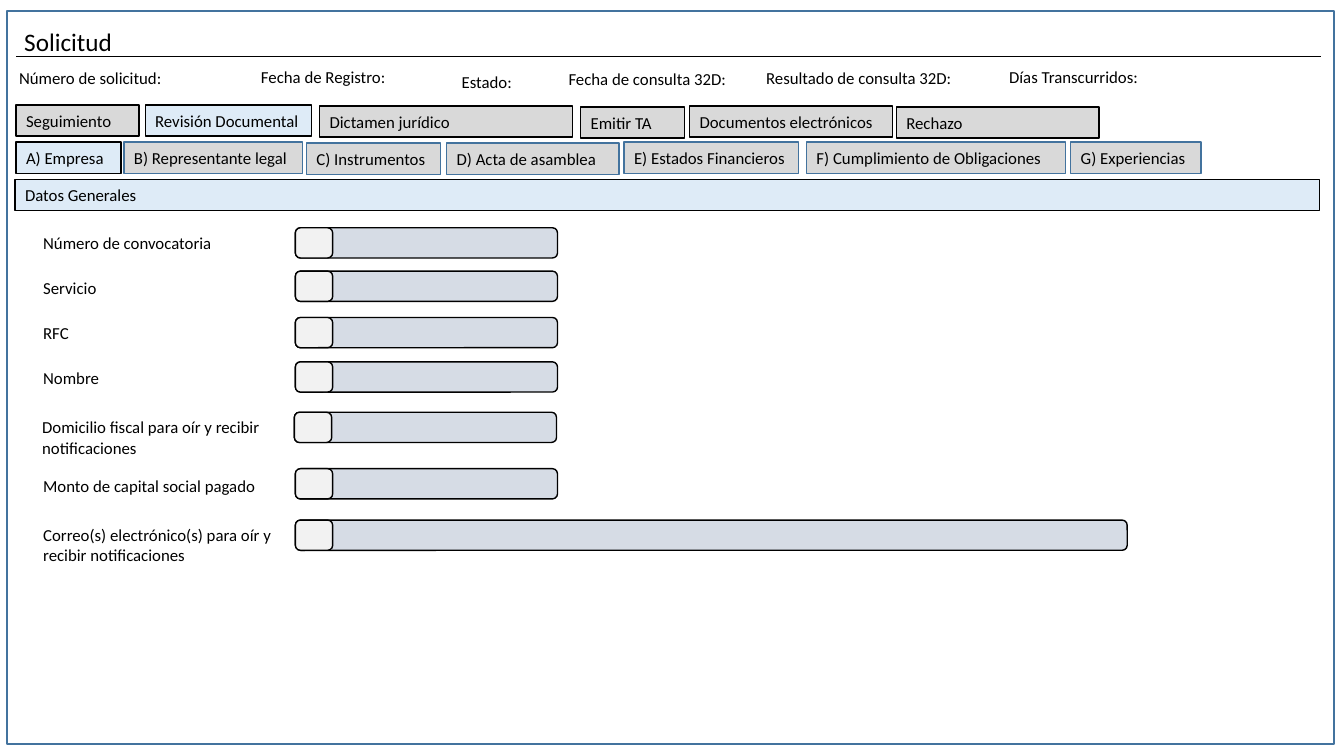
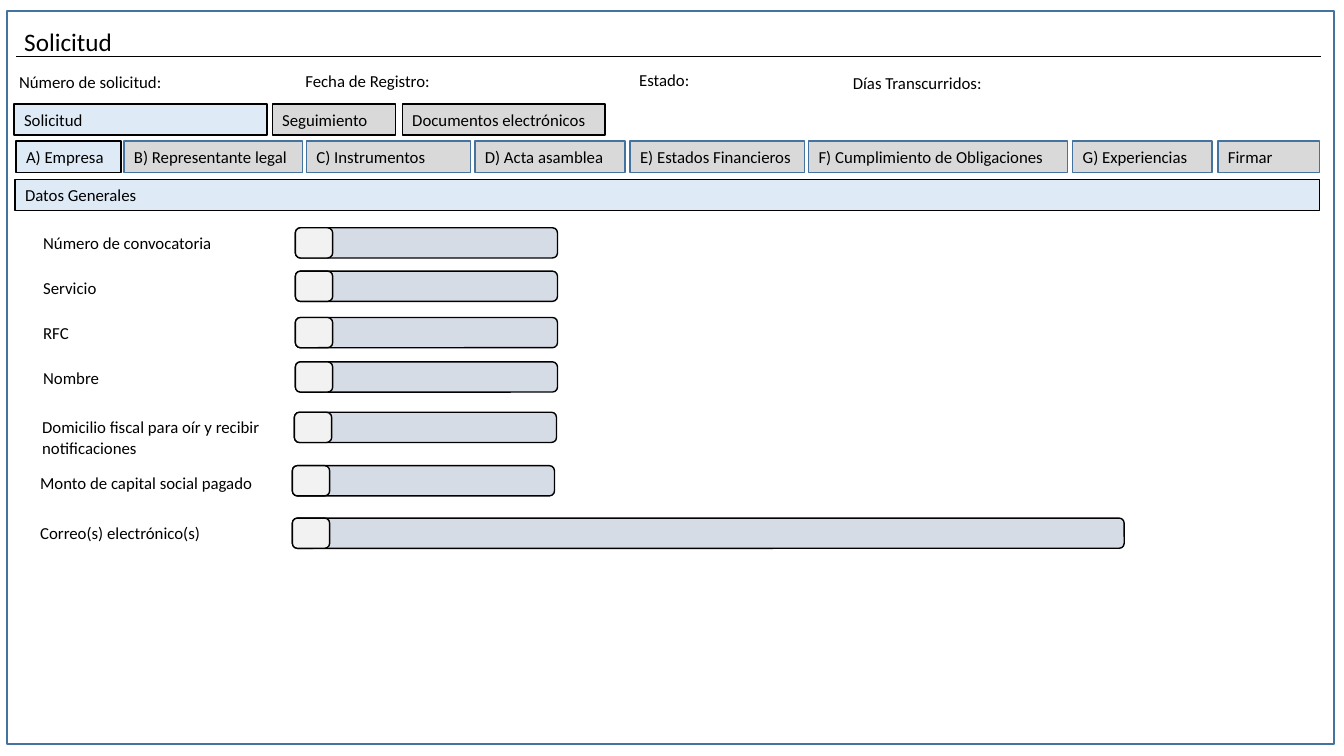
from lxml.etree import SubElement
from pptx import Presentation
from pptx.dml.color import RGBColor as Rgb
from pptx.enum.shapes import MSO_CONNECTOR as Conn, MSO_SHAPE as Kind
from pptx.enum.text import MSO_ANCHOR as Anchor, MSO_AUTO_SIZE as Fit, PP_ALIGN as Align
from pptx.oxml.ns import qn
from pptx.util import Inches, Pt

HUE = {"ink": "000000", "edge": "43739E", "live": "DEEBF7", "idle": "D9D9D9",
       "field": "D6DCE5", "knob": "F2F2F2"}
FRAME = {"word_wrap": True, "auto_size": Fit.NONE}
FONT = {"name": "Calibri"}
TAB_H, ROW_H, BOX_W, LONG_W, KNOB_W = 0.31, 0.3, 2.6, 8.25, 0.37
LABEL_W = 2.6  # also the distance from a label to its field

# Each slide: heads (text, x, y), tabs and parts (text, x, y, width),
# and the last fields (label, field x, label y, field y, width).
# The first tab or part listed in "live" is the open one.
PAGES = [
    {"heads": [("Número de solicitud:", 0.09, 0.62), ("Fecha de Registro:", 2.49, 0.61),
               ("Estado:", 4.48, 0.66), ("Fecha de consulta 32D:", 5.54, 0.63),
               ("Resultado de consulta 32D:", 7.5, 0.62), ("Días Transcurridos:", 9.91, 0.61)],
     "live": ("Revisión Documental", "A) Empresa"),
     "tabs": [("Seguimiento", 0.16, 1.04, 1.22), ("Revisión Documental", 1.44, 1.04, 1.65),
              ("Dictamen jurídico", 3.17, 1.05, 2.51), ("Emitir TA", 5.76, 1.06, 1.03),
              ("Documentos electrónicos", 6.84, 1.05, 2.01), ("Rechazo", 8.89, 1.06, 2.01)],
     "parts": [("A) Empresa", 0.16, 1.41, 1.04), ("B) Representante legal", 1.23, 1.41, 1.77),
               ("C) Instrumentos", 3.04, 1.42, 1.33), ("D) Acta de asamblea", 4.43, 1.42, 1.71),
               ("E) Estados Financieros", 6.19, 1.41, 1.73),
               ("F) Cumplimiento de Obligaciones", 8, 1.41, 2.57),
               ("G) Experiencias", 10.62, 1.41, 1.29)],
     "rows": [("Monto de capital social pagado", 2.93, 4.67, 4.65, BOX_W),
              ("Correo(s) electrónico(s) para oír y recibir notificaciones",
               2.93, 5.16, 5.16, LONG_W)]},
    {"heads": [("Número de solicitud:", 0.09, 0.66), ("Fecha de Registro:", 2.93, 0.65),
               ("Estado:", 6.24, 0.64), ("Días Transcurridos:", 8.36, 0.67)],
     "live": ("Solicitud", "A) Empresa"),
     "tabs": [("Solicitud", 0.14, 1.03, 2.51), ("Seguimiento", 2.7, 1.03, 1.22),
              ("Documentos electrónicos", 3.99, 1.03, 2.01)],
     "parts": [("A) Empresa", 0.16, 1.4, 1.04), ("B) Representante legal", 1.23, 1.4, 1.77),
               ("C) Instrumentos", 3.04, 1.4, 1.63), ("D) Acta asamblea", 4.71, 1.4, 1.49),
               ("E) Estados Financieros", 6.25, 1.4, 1.73),
               ("F) Cumplimiento de Obligaciones", 8.02, 1.4, 2.57),
               ("G) Experiencias", 10.64, 1.4, 1.38), ("Firmar", 12.08, 1.4, 1.01)],
     "rows": [("Monto de capital social pagado", 2.9, 4.64, 4.62, BOX_W),
              ("Correo(s) electrónico(s)", 2.9, 5.14, 5.14, LONG_W)]},
]
ROWS = [("Número de convocatoria", 2.93, 2.26, 2.26, BOX_W),
        ("Servicio", 2.93, 2.71, 2.69, BOX_W),
        ("RFC", 2.93, 3.15, 3.15, BOX_W),
        ("Nombre", 2.93, 3.6, 3.59, BOX_W),
        ("Domicilio fiscal para oír y recibir notificaciones", 2.92, 4.09, 4.09, BOX_W)]


def write(shape, text, size=12, anchor=Anchor.TOP):
    """Put left-aligned text in the shape, in the deck's font."""
    frame = shape.text_frame
    frame.text = text
    par = frame.paragraphs[0]
    par.alignment = Align.LEFT
    font = par.runs[0].font
    for item, values in ((frame, FRAME | {"vertical_anchor": anchor}),
                         (font, FONT | {"size": Pt(size)})):
        for name, value in values.items():
            setattr(item, name, value)
    font.color.rgb = Rgb.from_string(HUE["ink"])


def block(slide, kind, area, fill=None, line="ink", text=None):
    """Add a preset shape, unfilled unless a fill is named."""
    shape = slide.shapes.add_shape(kind, *map(Inches, area))
    shape.shadow.inherit = False
    if fill:
        shape.fill.solid()
        shape.fill.fore_color.rgb = Rgb.from_string(HUE[fill])
    else:
        shape.fill.background()
    shape.line.color.rgb = Rgb.from_string(HUE[line])
    shape.line.width = Pt(1)
    if text:
        write(shape, text, anchor=Anchor.MIDDLE)


deck = Presentation()
deck.slide_width, deck.slide_height = Inches(13.33), Inches(7.5)
layout = deck.slide_layouts.get_by_name("Title Only")
title = layout.placeholders[0]
title.left, title.top, title.width, title.height = map(Inches, (0.14, 0.21, 5.11, 0.4))

for page in PAGES:
    slide = deck.slides.add_slide(layout)
    write(slide.shapes.title, "Solicitud", 18)
    block(slide, Kind.RECTANGLE, (0.07, 0.11, 13.16, 7.27), line="edge")
    rule = slide.shapes.add_connector(Conn.STRAIGHT, *map(Inches, (0.16, 0.56, 13.1, 0.56)))
    rule.line.color.rgb = Rgb.from_string(HUE["ink"])
    rule.line.width = Pt(0.5)
    SubElement(rule._element.spPr, qn("a:effectLst"))

    rows = ROWS + page["rows"]
    labels = [(text, x - LABEL_W, y, LABEL_W) for text, x, y, _, _ in rows]
    heads = [(*head, 2.12) for head in page["heads"]]
    for text, x, y, width in heads + labels:
        write(slide.shapes.add_textbox(*map(Inches, (x, y, width, ROW_H))), text)

    for group, edge in (("tabs", "ink"), ("parts", "edge")):
        for text, x, y, width in page[group]:
            live = text in page["live"]
            block(slide, Kind.RECTANGLE, (x, y, width, TAB_H), "live" if live else "idle",
                  "ink" if live else edge, text)
    block(slide, Kind.RECTANGLE, (0.15, 1.78, 12.94, TAB_H), "live", text="Datos Generales")

    for _, x, _, y, width in rows:
        for wide, fill in ((width, "field"), (KNOB_W, "knob")):
            block(slide, Kind.ROUNDED_RECTANGLE, (x, y, wide, ROW_H), fill)

deck.save("out.pptx")
